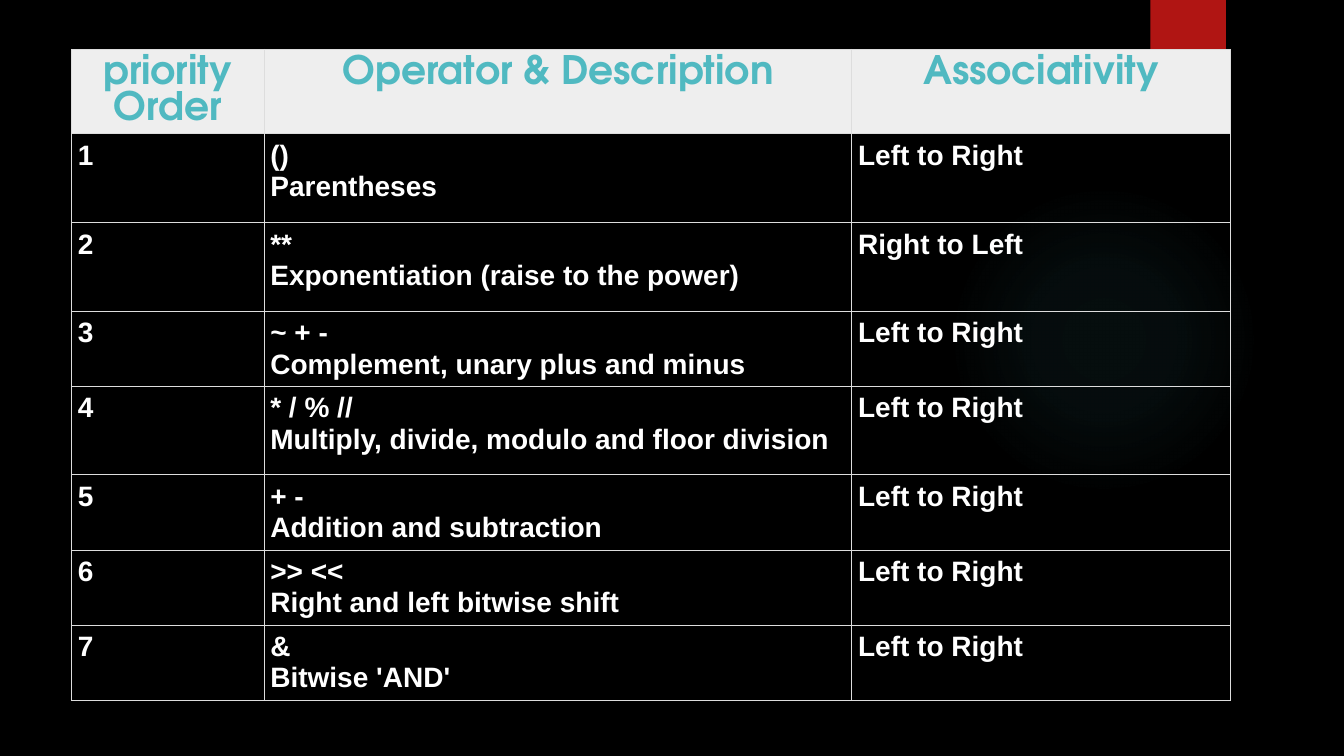
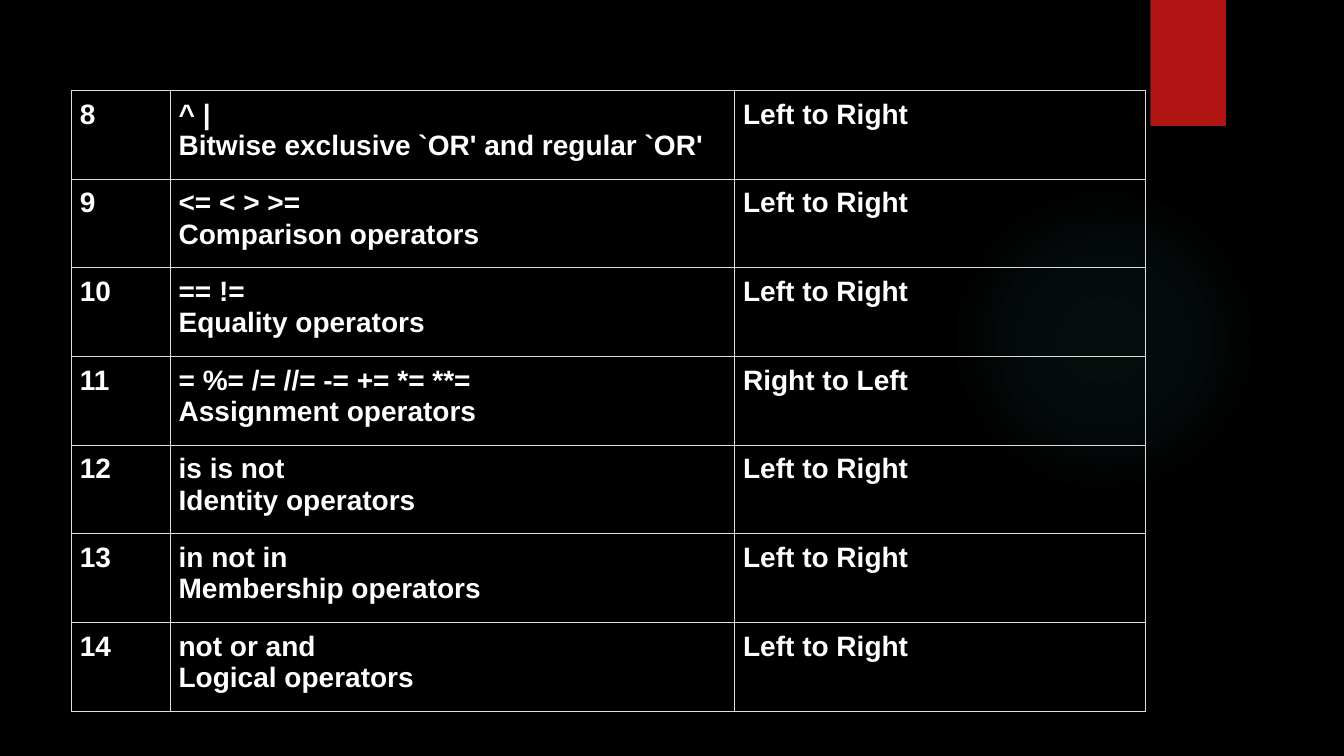
"""Build two slides that list operators by precedence and associativity."""
from dataclasses import dataclass

from pptx import Presentation
from pptx.dml.color import RGBColor
from pptx.enum.shapes import MSO_SHAPE
from pptx.enum.text import MSO_ANCHOR, PP_ALIGN
from pptx.oxml import parse_xml
from pptx.oxml.ns import qn
from pptx.util import Inches, Pt

ELLIPSE, RECTANGLE = MSO_SHAPE.OVAL, MSO_SHAPE.RECTANGLE
LEFT, CENTER, JUSTIFY = PP_ALIGN.LEFT, PP_ALIGN.CENTER, PP_ALIGN.JUSTIFY
TOP = MSO_ANCHOR.TOP

WIDTH, HEIGHT = Inches(13.33), Inches(7.5)
BLACK, WHITE, TEAL, RED = "000000", "FFFFFF", "50B9C1", "B01513"
HEADER_FILL, BORDER = "EEEEEE", "DDDDDD"
DRAWING = 'xmlns:a="http://schemas.openxmlformats.org/drawingml/2006/main"'
BORDER_SIDES = ("lnL", "lnR", "lnT", "lnB")
GLOW_STOPS = ((0, 7), (36, 6), (69, 0))
TALL, SHORT, HEADER = 11.73, 9.87, 11.15
TABLE_LEFT = 5.32
FORWARD, BACKWARD = "Left to Right", "Right to Left"


@dataclass(frozen=True)
class TextStyle:
    """Typeface, size, colour and optional exact line spacing in points."""

    font: str
    size: float
    color: str
    spacing: float | None = None


@dataclass(frozen=True)
class Operator:
    """One precedence level."""

    symbols: str
    description: str
    associativity: str = FORWARD
    height: float = TALL


@dataclass(frozen=True)
class OperatorTable:
    """A table with its lengths in percent of the slide's size."""

    top: float
    columns: tuple[float, ...]
    inset: float
    first_number: int
    operators: tuple[Operator, ...]
    header: tuple[str, ...] = ()


HEADER_STYLE = TextStyle("TeX Gyre Adventor", 28, TEAL, 25.7)
BODY_STYLE = TextStyle("Arial", 20, WHITE)

TABLES = (
    OperatorTable(
        6.53, (14.33, 43.73, 28.15), 4.5, 1,
        (
            Operator("()", "Parentheses"),
            Operator("**", "Exponentiation (raise to the power)", BACKWARD),
            Operator("~ + -", "Complement, unary plus and minus", height=SHORT),
            Operator("* / % //", "Multiply, divide, modulo and floor division"),
            Operator("+ -", "Addition and subtraction", height=SHORT),
            Operator(">> <<", "Right and left bitwise shift", height=SHORT),
            Operator("&", "Bitwise 'AND'", height=SHORT),
        ),
        ("priority Order", "Operator & Description", "Associativity"),
    ),
    OperatorTable(
        11.97, (7.35, 42, 30.53), 6, 8,
        (
            Operator("^ |", "Bitwise exclusive `OR' and regular `OR'"),
            Operator("<= < > >=", "Comparison operators"),
            Operator("== !=", "Equality operators"),
            Operator("= %= /= //= -= += *= **=", "Assignment operators", BACKWARD),
            Operator("is is not", "Identity operators"),
            Operator("in not in", "Membership operators"),
            Operator("not or and", "Logical operators"),
        ),
    ),
)


def rgb(color: str) -> RGBColor:
    """Turn a hex string into a colour."""
    return RGBColor.from_string(color)


def across(percent: float) -> int:
    """Return a share of the slide's width."""
    return round(WIDTH * percent / 100)


def down(percent: float) -> int:
    """Return a share of the slide's height."""
    return round(HEIGHT * percent / 100)


def add_plain_shape(slide, kind, left: float, top: float, width: float, height: float, color: str):
    """Add a filled shape without outline or shadow."""
    shape = slide.shapes.add_shape(kind, across(left), down(top), across(width), down(height))
    shape.shadow.inherit = False
    shape.fill.solid()
    shape.fill.fore_color.rgb = rgb(color)
    shape.line.fill.background()
    return shape


def decorate_layout(layout, slide) -> None:
    """Give the shared layout its glow and its red tab."""
    glow = add_plain_shape(slide, ELLIPSE, 70.58, 24.4, 23.1, 41.07, TEAL)
    stops = "".join(
        f'<a:gs pos="{position * 1000}"><a:srgbClr val="{TEAL}">'
        f'<a:alpha val="{alpha * 1000}"/></a:srgbClr></a:gs>'
        for position, alpha in GLOW_STOPS
    )
    gradient = parse_xml(
        f'<a:gradFill {DRAWING} rotWithShape="1"><a:gsLst>{stops}</a:gsLst><a:path path="circle">'
        '<a:fillToRect l="50000" t="50000" r="50000" b="50000"/></a:path></a:gradFill>'
    )
    properties = glow.element.spPr
    properties.replace(properties.find(qn("a:solidFill")), gradient)

    tab = add_plain_shape(slide, RECTANGLE, 85.6, 0, 5.62, 16.67, RED)
    tab.element.spPr.find(qn("a:effectLst")).append(parse_xml(
        f'<a:outerShdw {DRAWING} blurRad="{Pt(3)}" dist="{Pt(2)}" dir="5400000" rotWithShape="0">'
        f'<a:srgbClr val="{BLACK}"><a:alpha val="45000"/></a:srgbClr></a:outerShdw>'
    ))
    for shape in (glow, tab):
        layout.shapes.element.append(shape.element)


def add_borders(cell) -> None:
    """Draw a thin line on all four sides of a cell."""
    properties = cell._tc.get_or_add_tcPr()
    for index, side in enumerate(BORDER_SIDES):
        properties.insert(index, parse_xml(
            f'<a:{side} {DRAWING} w="{Pt(0.75)}"><a:solidFill><a:srgbClr val="{BORDER}"/>'
            f'</a:solidFill></a:{side}>'
        ))


def fill_cell(cell, lines: tuple[str, ...], style: TextStyle, alignment, inset: float, fill: str | None) -> None:
    """Write the lines of a cell and format it."""
    cell.margin_left = cell.margin_right = cell.margin_top = cell.margin_bottom = Pt(inset)
    cell.vertical_anchor = TOP
    if fill:
        cell.fill.solid()
        cell.fill.fore_color.rgb = rgb(fill)
    else:
        cell.fill.background()
    add_borders(cell)
    frame = cell.text_frame
    for index, line in enumerate(lines):
        paragraph = frame.add_paragraph() if index else frame.paragraphs[0]
        paragraph.alignment = alignment
        if style.spacing:
            paragraph.line_spacing = Pt(style.spacing)
        run = paragraph.add_run()
        run.text = line
        run.font.name = style.font
        run.font.size = Pt(style.size)
        run.font.bold = True
        run.font.color.rgb = rgb(style.color)


def add_operator_table(slide, content: OperatorTable) -> None:
    """Draw one operator table."""
    heights = [HEADER] * bool(content.header) + [operator.height for operator in content.operators]
    table = slide.shapes.add_table(
        len(heights), len(content.columns), across(TABLE_LEFT), down(content.top),
        across(sum(content.columns)), down(sum(heights)),
    ).table
    table.first_row = bool(content.header)
    table.horz_banding = False
    for column, width in zip(table.columns, content.columns):
        column.width = across(width)
    for row, height in zip(table.rows, heights):
        row.height = down(height)

    for column, title in enumerate(content.header):
        fill_cell(table.cell(0, column), (title,), HEADER_STYLE, CENTER, content.inset, HEADER_FILL)
    first_row = 1 if content.header else 0
    for index, operator in enumerate(content.operators):
        entries = (
            ((str(content.first_number + index),), LEFT),
            ((operator.symbols, operator.description), JUSTIFY),
            ((operator.associativity,), JUSTIFY),
        )
        for column, (lines, alignment) in enumerate(entries):
            cell = table.cell(first_row + index, column)
            fill_cell(cell, lines, BODY_STYLE, alignment, content.inset, None)


def main() -> None:
    """Build and save the presentation."""
    presentation = Presentation()
    presentation.slide_width, presentation.slide_height = WIDTH, HEIGHT
    background = presentation.slide_master.background.fill
    background.solid()
    background.fore_color.rgb = rgb(BLACK)
    layout = presentation.slide_layouts.get_by_name("Blank")
    slides = [presentation.slides.add_slide(layout) for _ in TABLES]
    decorate_layout(layout, slides[0])
    for slide, content in zip(slides, TABLES):
        add_operator_table(slide, content)
    presentation.save("out.pptx")


if __name__ == "__main__":
    main()
